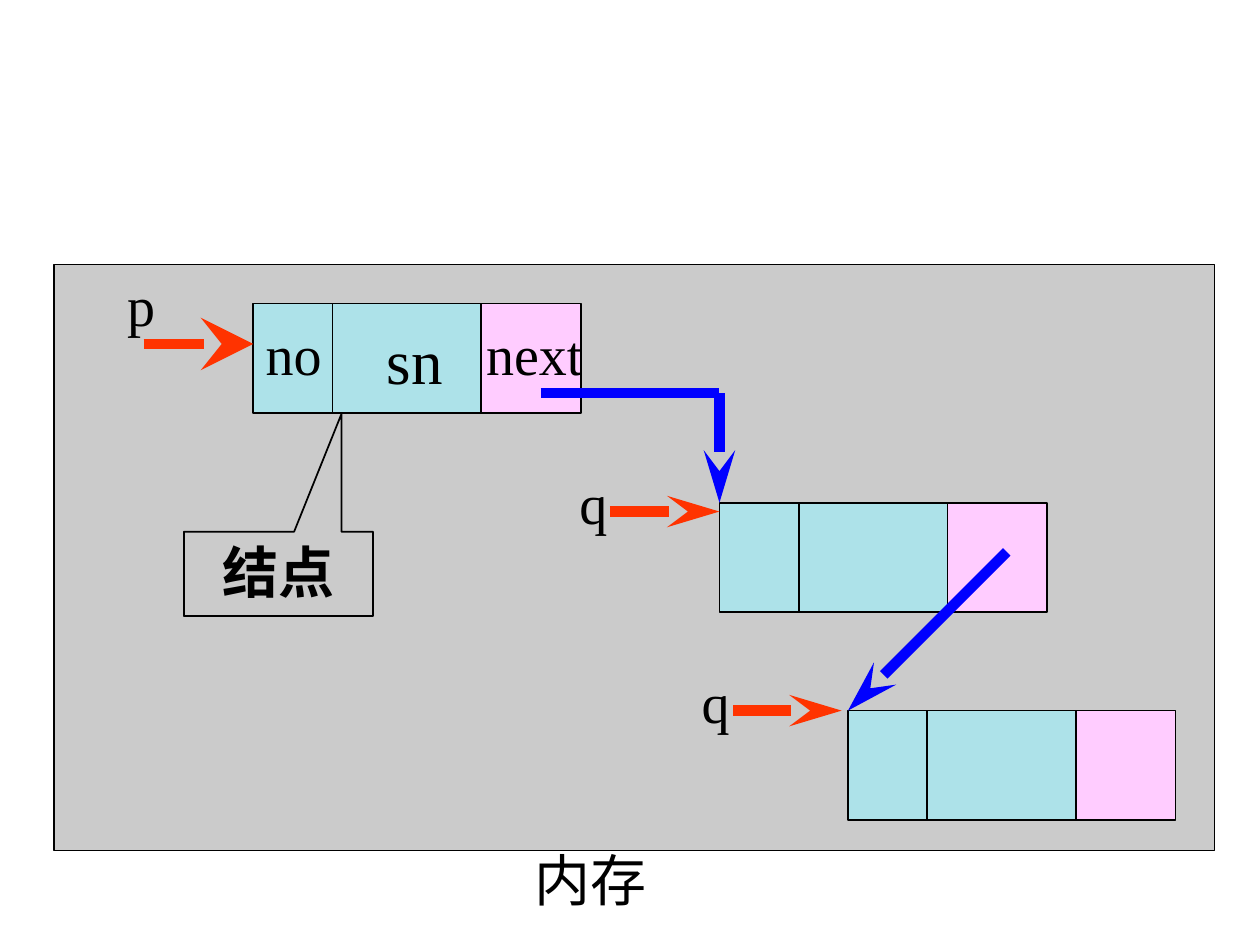
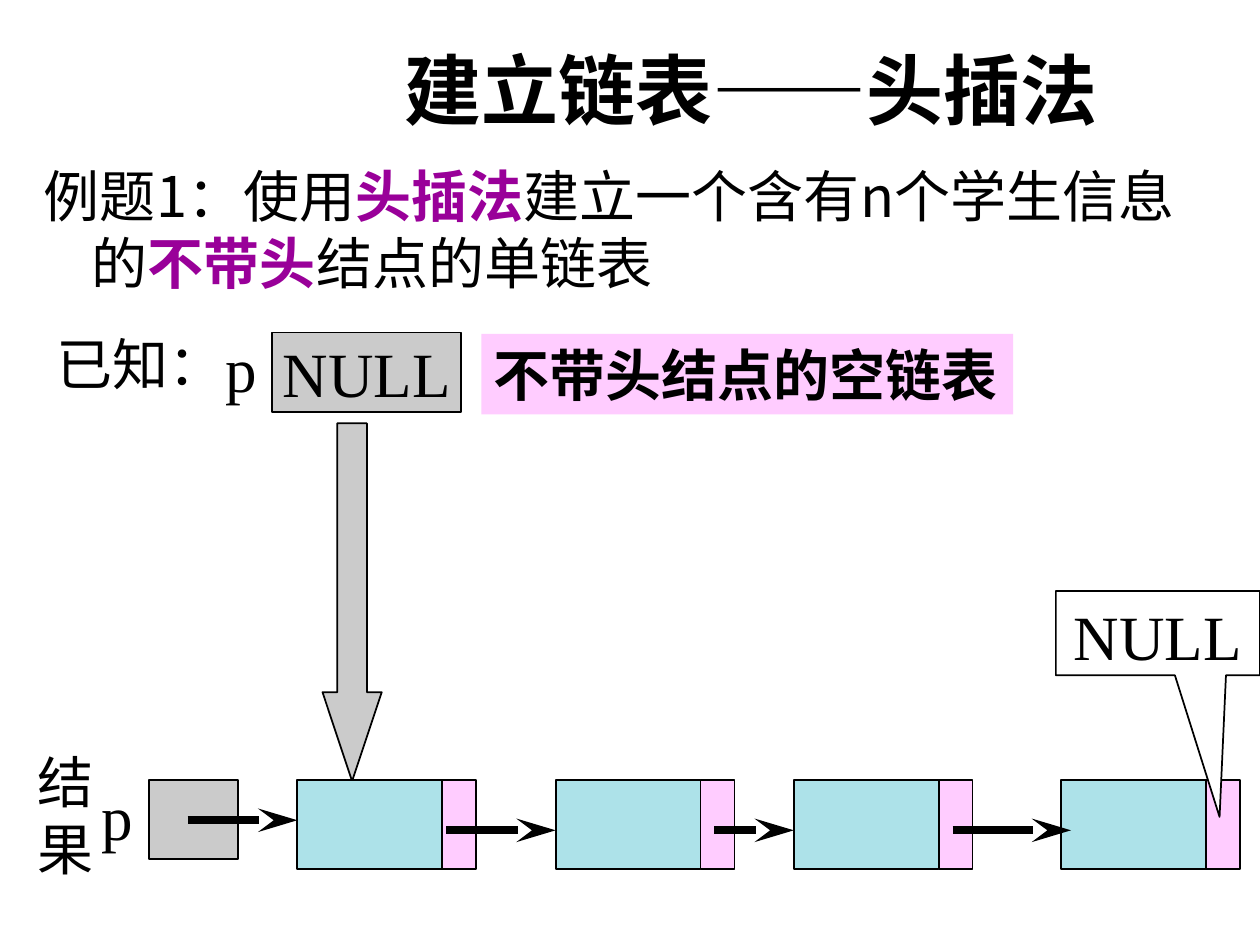
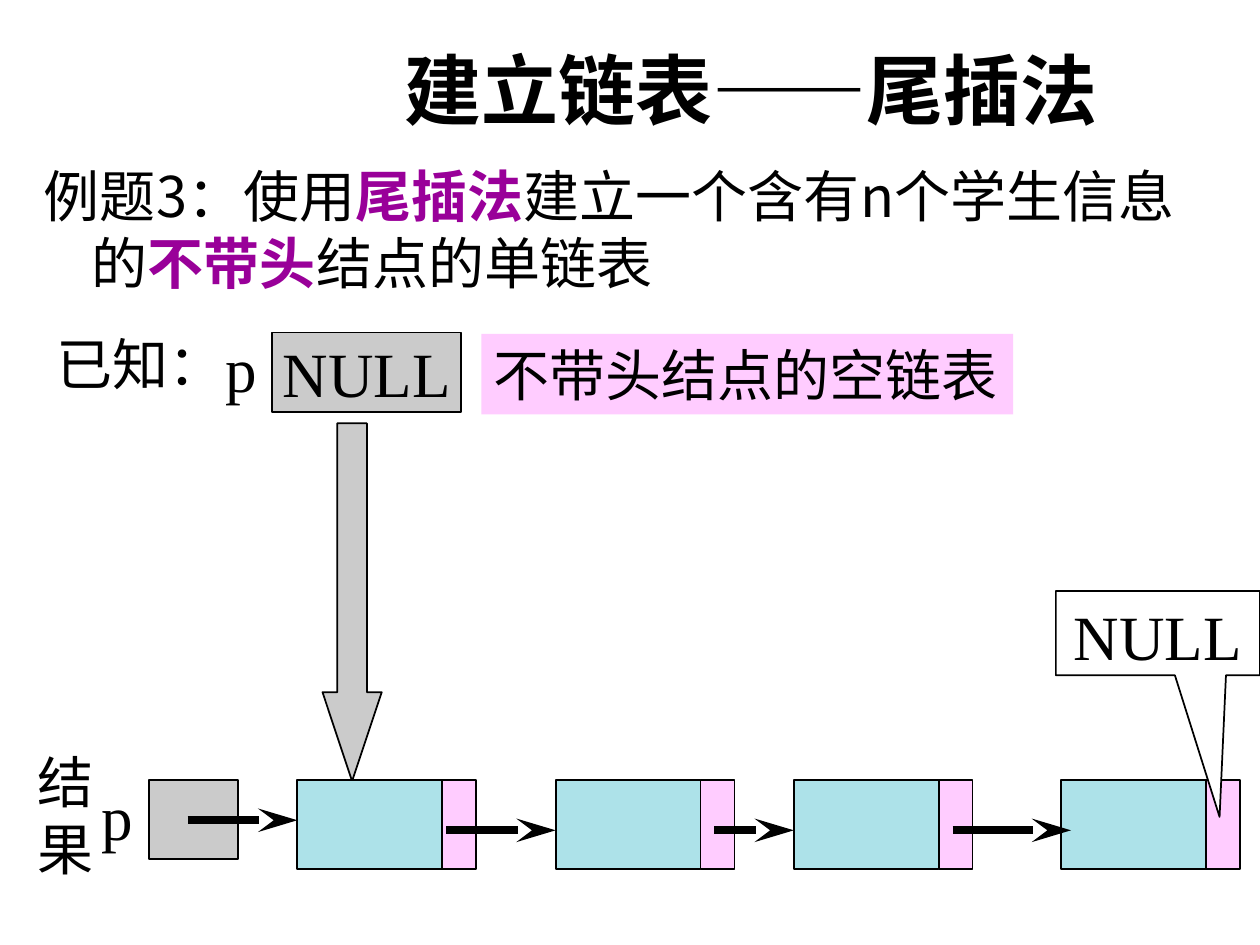
from pptx import Presentation
from pptx.dml.color import RGBColor
from pptx.enum.shapes import MSO_CONNECTOR, MSO_SHAPE
from pptx.enum.text import MSO_ANCHOR, MSO_AUTO_SIZE, PP_ALIGN
from pptx.oxml.ns import qn
from pptx.util import Inches, Pt
from lxml.etree import SubElement

SERIF, SANS = "Times New Roman", "Noto Sans CJK SC"
BLACK, WHITE, GREY = "000000", "FFFFFF", "CBCBCB"
AQUA, PINK, PURPLE = "ADE2E9", "FFCCFF", "990099"
RED, BLUE = "FF3300", "0000FF"

MEMORY_NODES = [(5.71, 3.99), (6.73, 5.64), (2.01, 2.41)]
FIELD_LABELS = [
    ("no", (2.01, 2.49, 0.66, 0.64), 32),
    ("sn", (2.97, 2.5, 0.66, 0.7), 36),
    ("next", (3.76, 2.49, 0.98, 0.64), 32),
]
POINTERS = [
    ("p", (0.91, 2.1), (1.14, 2.73), 2.01, "lg"),
    ("q", (4.5, 3.67), (4.84, 4.06), 5.71, "med"),
    ("q", (5.47, 5.25), (5.82, 5.64), 6.68, "med"),
]
LINKS = [
    ((7.99, 4.38), (6.73, 5.64), "med"),
    ((5.71, 3.12), (5.71, 3.99), "med"),
    ((4.29, 3.12), (5.71, 3.12), None),
]

METHODS = [("头插法", 1, True), ("尾插法", 3, False)]
RESULT_NODES = [2.36, 4.41, 6.3, 8.42]
RESULT_ARROWS = [(1.49, 2.36, 6.51), (3.54, 4.41, 6.59), (5.67, 6.3, 6.59), (7.56, 8.5, 6.59)]


def rgb(color):
    return RGBColor.from_string(color)


def style(font, size, bold=False, color=BLACK, name=SERIF):
    font.name, font.size, font.bold = name, Pt(size), bold
    font.color.rgb = rgb(color)


def write(shape, text, size, bold=False, align=PP_ALIGN.LEFT, anchor=MSO_ANCHOR.TOP, wrap=True):
    frame = shape.text_frame
    frame.text = text
    frame.word_wrap, frame.vertical_anchor = wrap, anchor
    for paragraph in frame.paragraphs:
        paragraph.alignment = align
        style(paragraph.font, size, bold)


def label(slide, box, text, size=32, bold=False, wrap=False):
    textbox = slide.shapes.add_textbox(*map(Inches, box))
    write(textbox, text, size, bold, wrap=wrap)
    textbox.text_frame.auto_size = MSO_AUTO_SIZE.SHAPE_TO_FIT_TEXT
    return textbox


def block(slide, box, fill=None, preset=MSO_SHAPE.RECTANGLE, adjustments=()):
    shape = slide.shapes.add_shape(preset, *map(Inches, box))
    shape.shadow.inherit = False
    if fill:
        shape.fill.solid()
        shape.fill.fore_color.rgb = rgb(fill)
    else:
        shape.fill.background()
    shape.line.color.rgb = rgb(BLACK)
    shape.line.width = Pt(1)
    for index, value in enumerate(adjustments):
        shape.adjustments[index] = value
    return shape


def line(slide, start, end, color=BLACK, width=1, head_width=None):
    connector = slide.shapes.add_connector(MSO_CONNECTOR.STRAIGHT, *map(Inches, (*start, *end)))
    connector.line.color.rgb = rgb(color)
    connector.line.width = Pt(width)
    properties = connector.element.spPr
    if head_width:
        SubElement(properties.find(qn("a:ln")), qn("a:tailEnd"), type="stealth", w=head_width, len="lg")
    SubElement(properties, qn("a:effectLst"))


def node(slide, left, top, data_width, next_width, height):
    block(slide, (left, top, data_width, height), AQUA)
    block(slide, (left + data_width, top, next_width, height), PINK)


def memory_slide(prs):
    slide = prs.slides.add_slide(prs.slide_layouts[6])
    block(slide, (0.43, 2.1, 9.21, 4.65), GREY)
    label(slide, (4.14, 6.66, 1.09, 0.64), "内存")
    for left, top in MEMORY_NODES:
        node(slide, left, top, 1.81, 0.79, 0.87)
        line(slide, (left + 0.63, top), (left + 0.63, top + 0.87))
    for text, box, size in FIELD_LABELS:
        label(slide, box, text, size)
    callout = block(slide, (1.46, 4.22, 1.5, 0.67), None,
                    MSO_SHAPE.RECTANGULAR_CALLOUT, (0.334, -1.896))
    write(callout, "结点", 32, True, PP_ALIGN.CENTER)
    for text, corner, start, end_x, head_width in POINTERS:
        label(slide, (*corner, 0.42, 0.64), text)
        line(slide, start, (end_x, start[1]), RED, 6, head_width)
    for start, end, head_width in LINKS:
        line(slide, start, end, BLUE, 6, head_width)


def problem_statement(slide, method, number):
    problem = slide.shapes.add_textbox(*map(Inches, (0.25, 1.23, 9.48, 1.81)))
    problem.text_frame.word_wrap = True
    paragraph = problem.text_frame.paragraphs[0]
    indent = paragraph._p.get_or_add_pPr()
    indent.set("marL", str(Inches(0.38)))
    indent.set("indent", str(-Inches(0.38)))
    parts = [f"例题{number}：使用", method, "建立一个含有n个学生信息的", "不带头", "结点的单链表"]
    for index, part in enumerate(parts):
        run = paragraph.add_run()
        run.text = part
        emphasised = index % 2 == 1
        style(run.font, 32, emphasised, PURPLE if emphasised else BLACK, SANS)


def method_slide(prs, method, number, bold_note):
    slide = prs.slides.add_slide(prs.slide_layouts[5])
    title = slide.shapes.title
    title.left, title.top, title.width, title.height = map(Inches, (3.11, 0.28, 6.69, 0.85))
    write(title, f"建立链表——{method}", 44, True, anchor=MSO_ANCHOR.MIDDLE)
    problem_statement(slide, method, number)

    label(slide, (0.35, 2.57, 1.53, 0.64), "已知：", wrap=True)
    empty_list = block(slide, (2.16, 2.64, 1.5, 0.63), GREY)
    write(empty_list, "NULL", 36, False, PP_ALIGN.CENTER, MSO_ANCHOR.MIDDLE, False)
    label(slide, (1.69, 2.57, 0.45, 0.7), "p", 36)
    note = label(slide, (3.82, 2.65, 4.22, 0.64), "不带头结点的空链表", bold=bold_note)
    note.fill.solid()
    note.fill.fore_color.rgb = rgb(PINK)
    block(slide, (2.56, 3.36, 0.47, 2.84), GREY, MSO_SHAPE.DOWN_ARROW, (0.5, 1.501))

    label(slide, (0.2, 5.88, 0.65, 1.17), "结\n果", wrap=True)
    block(slide, (1.18, 6.19, 0.71, 0.63), GREY)
    label(slide, (0.71, 6.12, 0.45, 0.7), "p", 36)
    for left in RESULT_NODES:
        node(slide, left, 6.19, 1.15, 0.27, 0.71)
    last_next = block(slide, (8.38, 4.69, 1.62, 0.67), WHITE,
                      MSO_SHAPE.RECTANGULAR_CALLOUT, (0.302, 2.177))
    write(last_next, "NULL", 36, align=PP_ALIGN.CENTER)
    for start_x, end_x, y in RESULT_ARROWS:
        line(slide, (start_x, y), (end_x, y), width=4.5, head_width="med")


def main():
    prs = Presentation()
    prs.slide_width, prs.slide_height = Inches(10), Inches(7.5)
    memory_slide(prs)
    for method in METHODS:
        method_slide(prs, *method)
    prs.save("out.pptx")


if __name__ == "__main__":
    main()
